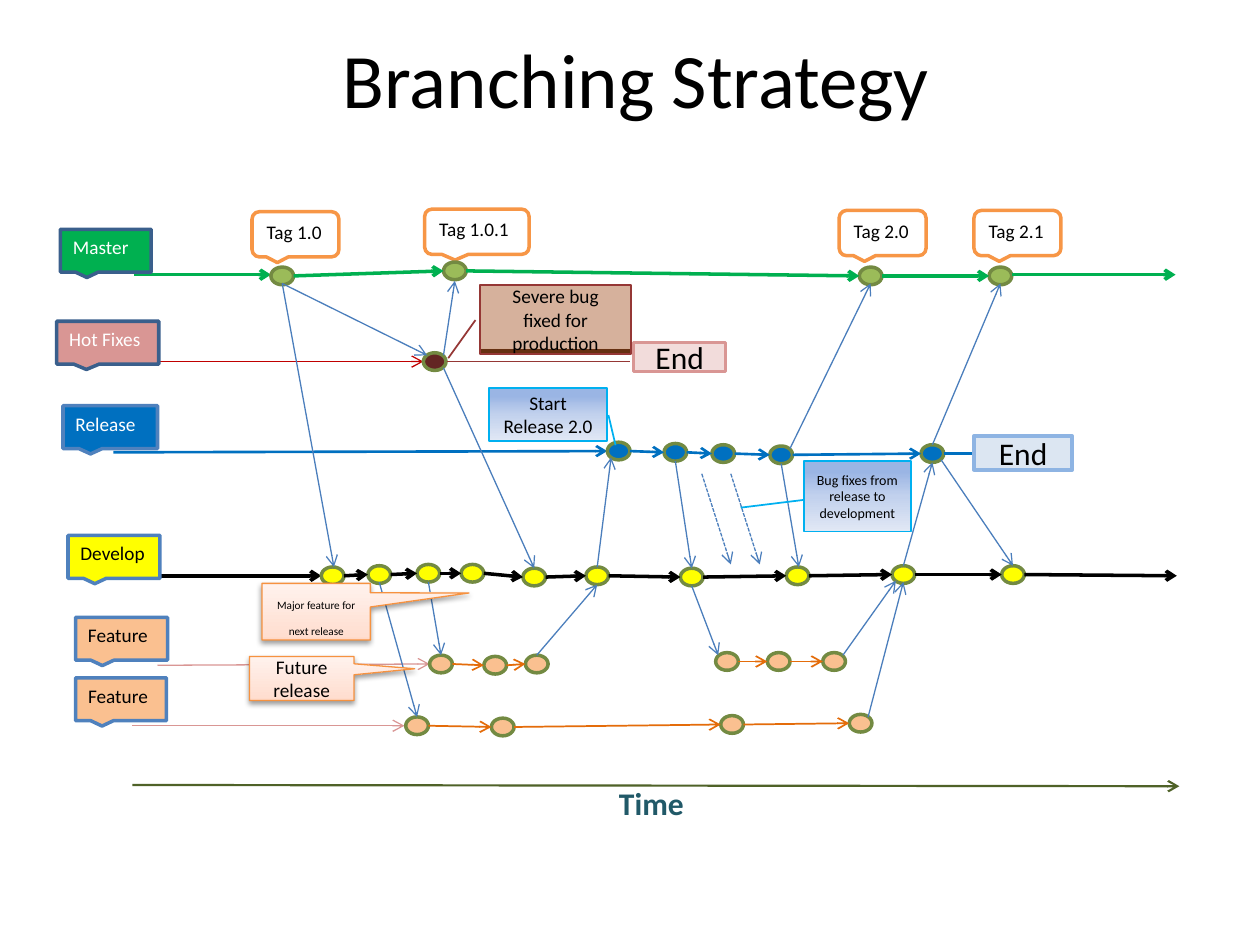
from lxml import etree
from pptx import Presentation
from pptx.dml.color import RGBColor
from pptx.enum.dml import MSO_LINE
from pptx.enum.shapes import MSO_CONNECTOR, MSO_SHAPE
from pptx.enum.text import MSO_ANCHOR, PP_ALIGN
from pptx.oxml.ns import qn
from pptx.util import Pt

PX = 9144
FONT = "Calibri"
TOP, MIDDLE = MSO_ANCHOR.TOP, MSO_ANCHOR.MIDDLE
LEFT, CENTER = PP_ALIGN.LEFT, PP_ALIGN.CENTER
DASH = MSO_LINE.SQUARE_DOT
STRAIGHT = MSO_CONNECTOR.STRAIGHT
OVAL, RECT = MSO_SHAPE.OVAL, MSO_SHAPE.RECTANGLE
FLAG, BUBBLE = MSO_SHAPE.RECTANGULAR_CALLOUT, MSO_SHAPE.ROUNDED_RECTANGULAR_CALLOUT
NOTE = MSO_SHAPE.LINE_CALLOUT_1

BLACK, WHITE = RGBColor(0, 0, 0), RGBColor(255, 255, 255)
GREEN, LEAF, MOSS = RGBColor(0, 176, 80), RGBColor(155, 187, 89), RGBColor(115, 138, 66)
OLIVE, TEAL = RGBColor(79, 98, 40), RGBColor(33, 89, 104)
NAVY, STEEL, FLOW = RGBColor(58, 95, 140), RGBColor(79, 129, 189), RGBColor(75, 126, 188)
BLUE, CYAN = RGBColor(0, 112, 192), RGBColor(0, 176, 240)
ICE, SKY = RGBColor(220, 230, 242), RGBColor(142, 180, 227)
RED, WINE, RUST = RGBColor(192, 0, 0), RGBColor(99, 37, 35), RGBColor(149, 55, 53)
PINK, BLUSH = RGBColor(217, 150, 148), RGBColor(242, 220, 219)
YELLOW, PEACH = RGBColor(255, 255, 0), RGBColor(250, 192, 144)
ORANGE, AMBER, EMBER = RGBColor(247, 150, 70), RGBColor(246, 146, 64), RGBColor(228, 108, 10)

BROWNS = [(92, "D6B19C"), (93, "D49E6C"), (93, "A65528"), (93, "663012")]
BLUES = [(15, "9AB5E4"), (50, "C2D1ED"), (100, "E1E8F5")]
CREAMS = [(0, "FFD2BD"), (6, "FFDED0"), (100, "FFF2ED")]
DOT_W, DOT_H = 18, 14


def scale(*sizes):
    """Turn px into EMU."""
    return [size * PX for size in sizes]


def write(shape, text, size, color=BLACK, align=CENTER, anchor=MIDDLE):
    """Put one run of text into a shape and return its font."""
    frame = shape.text_frame
    frame.word_wrap = True
    frame.vertical_anchor = anchor
    frame.paragraphs[0].alignment = align
    run = frame.paragraphs[0].add_run()
    run.text = text
    run.font.name, run.font.size = FONT, Pt(size)
    run.font.color.rgb = color
    return run.font


def form(slide, box, kind, spot, fill, edge, width=2):
    """Draw a preset shape at a spot inside the box."""
    x, y, w, h = spot
    shape = slide.shapes.add_shape(kind, *scale(box[0] + x, box[1] + y, w, h))
    shape.shadow.inherit = False
    if fill is not None:
        shape.fill.solid()
        shape.fill.fore_color.rgb = fill
    shape.line.color.rgb = edge
    shape.line.width = Pt(width)
    return shape


def wire(slide, box, ends, color, width, arrow=True, dash=None):
    """Draw a straight line inside the box."""
    x, y = box[:2]
    x1, y1, x2, y2 = ends
    link = slide.shapes.add_connector(STRAIGHT, *scale(x + x1, y + y1, x + x2, y + y2))
    link.line.color.rgb = color
    link.line.width = Pt(width)
    if dash:
        link.line.dash_style = dash
    if arrow:
        etree.SubElement(link.line._get_or_add_ln(), qn("a:tailEnd"), type="arrow")
    etree.SubElement(link.element.spPr, qn("a:effectLst"))


def lane(slide, box, label, look, lead, runs, inks, width, tail=None):
    """Draw a branch: its label, lead line and runs of linked dots."""
    name, spot = label
    fill, edge, ink, dot = look
    wire(slide, box, lead, inks[0], width[0])
    flag = form(slide, box, FLAG, (*spot, 34), fill, edge)
    write(flag, name, 11, ink, LEFT, TOP)
    half = DOT_H // 2
    for run in runs:
        for x, y in run:
            form(slide, box, OVAL, (x, y, DOT_W, DOT_H), dot, MOSS)
        for (x1, y1), (x2, y2) in zip(run, run[1:]):
            wire(slide, box, (x1 + DOT_W, y1 + half, x2, y2 + half), inks[1], width[1])
    if tail:
        wire(slide, box, tail, inks[1], width[1])


def tags(slide, box, marks):
    """Draw the version tags above the master branch."""
    for name, x, y, w in marks:
        tag = form(slide, box, BUBBLE, (x, y, w, 36), WHITE, ORANGE)
        write(tag, name, 11, BLACK, LEFT, TOP)


def close(slide, box, line, color, width, spot, fill, edge):
    """Draw the end of a branch."""
    wire(slide, box, line, color, width, arrow=False)
    write(form(slide, box, RECT, spot, fill, edge), "End", 18)


def flows(slide, box, paths, dash=None):
    """Draw the arrows that pass between branches."""
    for ends in paths:
        wire(slide, box, ends, FLOW, 0.75, dash=dash)


def note(slide, box, kind, spot, text, size, tip, stops, turn, edge, width):
    """Draw a callout with a shaded fill and return it with its font."""
    shape = form(slide, box, kind, spot, None, edge, width)
    for i, part in enumerate(tip):
        shape.adjustments[i] = part
    shape.fill.gradient()
    shape.fill.gradient_angle = turn
    row = shape.element.spPr.find(".//" + qn("a:gsLst"))
    for old in list(row):
        row.remove(old)
    for place, shade in stops:
        stop = etree.SubElement(row, qn("a:gs"), pos=str(place * 1000))
        etree.SubElement(stop, qn("a:srgbClr"), val=shade)
    return shape, write(shape, text, size)


def shade(shape):
    """Give a shape a soft shadow below it."""
    group = shape.element.spPr.find(qn("a:effectLst"))
    cast = etree.SubElement(group, qn("a:outerShdw"), blurRad=str(Pt(3.1)),
                            dist=str(Pt(1.6)), dir="5400000", rotWithShape="0")
    tint = etree.SubElement(cast, qn("a:srgbClr"), val="000000")
    etree.SubElement(tint, qn("a:alpha"), val="38000")


def notes(slide, box):
    """Draw the callouts that explain events."""
    for spot, text, size, tip, stops, edge in [
        ((381, 26, 120, 55), "Severe bug fixed for production", 11,
         (0.51, -0.03, 1.06, -0.21), BROWNS, RUST),
        ((388, 108, 94, 42), "Start Release 2.0", 11, (0.51, 1.01, 1.08, 1.07), BLUES, CYAN),
        ((638, 166, 85, 56), "Bug fixes from release to development", 8,
         (0.55, 0, 0.66, -0.59), BLUES, CYAN),
    ]:
        note(slide, box, NOTE, spot, text, size, tip, stops, 270, edge, 1)
    for spot, text, tip, base in [
        ((198, 321, 83, 35), "Future release", (1.08, -0.22), None),
        ((208, 263, 86, 45), "Major feature for next release", (1.41, -0.33), "-25000"),
    ]:
        shape, font = note(slide, box, FLAG, spot, text, 11, tip, CREAMS, 90, AMBER, 0.75)
        shade(shape)
        if base:
            font._element.set("baseline", base)


def clock(slide, box):
    """Draw the time line and its name."""
    wire(slide, box, (0, 0, box[2], 1), OLIVE, 1.25)
    text = slide.shapes.add_textbox(*scale(box[0] + 262, box[1] + 2, 300, 25))
    write(text, "Time", 18, TEAL).bold = True


def head(slide, box):
    """Fill and place the title."""
    title = slide.shapes.title
    title.left, title.top, title.width, title.height = scale(*box)
    write(title, "Branching Strategy", 44)


def main():
    """Build the slide and save it."""
    deck = Presentation()
    deck.slide_width, deck.slide_height = scale(1000, 750)
    slide = deck.slides.add_slide(deck.slide_layouts[5])
    head(slide, (55, 8, 900, 108))
    chart = (0, 200, 1000, 400)
    main_box, hot, ship = (0, 160, 1000, 80), (0, 250, 1000, 50), (0, 310, 1000, 65)
    tags(slide, main_box, [("Tag 1.0", 200, 8, 69), ("Tag 1.0.1", 337, 6, 83),
                           ("Tag 2.0", 666, 7, 69), ("Tag 2.1", 773, 7, 69)])
    lane(slide, main_box, ("Master", (48, 22, 72)), (GREEN, NAVY, WHITE, LEAF),
         (106, 58, 215, 58), [[(215, 52), (352, 48), (682, 52), (785, 52)]],
         (GREEN, GREEN), (2, 2), (803, 58, 933, 58))
    lane(slide, hot, ("Hot Fixes", (45, 5, 81)), (PINK, NAVY, WHITE, WINE),
         (107, 37, 336, 37), [[(336, 30)]], (RED, RED), (0.75, 0.75))
    lane(slide, ship, ("Release", (50, 12, 75)), (BLUE, STEEL, WHITE, BLUE),
         (90, 49, 482, 48), [[(482, 41), (527, 42), (565, 43), (611, 44), (731, 43)]],
         (BLUE, BLUE), (1.5, 1.5))
    lane(slide, (0, 420, 1000, 50), ("Develop", (54, 5, 73)), (YELLOW, STEEL, BLACK, YELLOW),
         (110, 37, 255, 37),
         [[(255, 30), (292, 29), (331, 28), (366, 28), (415, 31),
           (465, 30), (540, 31), (624, 30), (708, 29), (795, 29)]],
         (BLACK, BLACK), (2, 2), (813, 36, 934, 37))
    soft = (PEACH, STEEL, BLACK, PEACH)
    lane(slide, (0, 480, 1000, 55), ("Feature", (60, 10, 73)), soft, (125, 48, 341, 47),
         [[(341, 40), (384, 41), (417, 40)], [(568, 38), (609, 38), (653, 38)]],
         (PINK, EMBER), (0.75, 1))
    lane(slide, (0, 530, 1000, 55), ("Feature", (60, 8, 72)), soft, (105, 46, 321, 46),
         [[(322, 39), (390, 40), (572, 38), (674, 37)]], (PINK, EMBER), (0.75, 1))
    flows(slide, chart, [
        (224, 25, 339, 82), (352, 82, 361, 23), (224, 25, 265, 250), (352, 92, 424, 251),
        (474, 250, 485, 163), (620, 168, 634, 250), (627, 156, 691, 25), (717, 249, 740, 167),
        (740, 153, 794, 25), (747, 165, 804, 249), (536, 166, 549, 251), (549, 265, 570, 320),
        (669, 320, 711, 261), (340, 262, 350, 320), (426, 320, 474, 264), (301, 262, 331, 369),
        (689, 369, 717, 262)])
    flows(slide, chart, [(557, 176, 580, 248), (580, 176, 603, 248)], DASH)
    clock(slide, (105, 623, 831, 27))
    notes(slide, chart)
    close(slide, ship, (749, 50, 773, 50), BLUE, 1.75, (773, 36, 78, 27), ICE, SKY)
    close(slide, hot, (355, 37, 500, 37), RUST, 1, (503, 22, 73, 23), BLUSH, PINK)
    deck.save("out.pptx")


if __name__ == "__main__":
    main()
